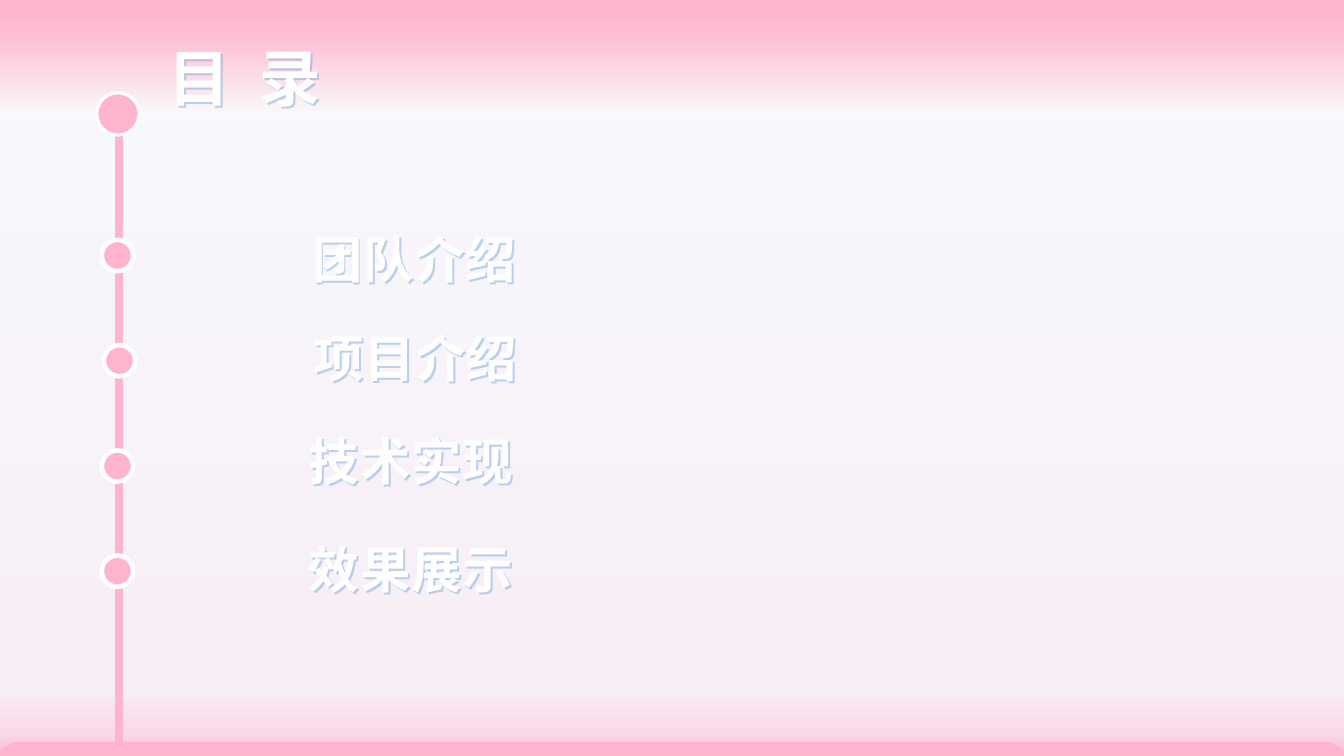
import pptx
import pptx.dml.color
import pptx.enum.shapes
import pptx.enum.text
import pptx.oxml
import pptx.oxml.ns
import pptx.util

Inches = pptx.util.Inches
Pt = pptx.util.Pt
ShapeType = pptx.enum.shapes.MSO_SHAPE

FONT = "Noto Sans CJK SC"
DRAWING = pptx.oxml.ns.nsdecls("a")
COLORS = {
    "pink": "FEB3CE",
    "white": "FFFFFF",
    "text": "FEFEFE",
    "blue": "5B9BD5",
}
BACKGROUND_STOPS = [(0, "F7FAFD"), (92, "F8EEF5"), (93, "F9E6F0"),
                    (97, "FADAE8"), (100, "FEB3CE")]
HEADER_STOPS = [(0, "FAFAFA"), (70, "FDBED5"), (100, "FEB3CE")]
# Left and top of each agenda entry
ENTRIES = [("团队介绍", 2.98, 2.21), ("项目介绍", 2.99, 3.2),
           ("技术实现", 2.95, 4.22), ("效果展示", 2.95, 5.29)]
DOT_LEFTS = [1.01, 1.03, 1.01, 1.01]
DOT_TOP, DOT_STEP, DOT_SIZE = 2.38, 1.044, 0.31


def rgb(name):
    return pptx.dml.color.RGBColor.from_string(COLORS[name])


def set_gradient(fill, element, stops, angle):
    fill.gradient()
    gradient = element.xpath(".//a:gradFill")[0]
    stop_list = gradient.find(pptx.oxml.ns.qn("a:gsLst"))
    for stop in list(stop_list):
        stop_list.remove(stop)
    for position, color in stops:
        stop_list.append(pptx.oxml.parse_xml(
            f'<a:gs {DRAWING} pos="{position * 1000}">'
            f'<a:srgbClr val="{color}"/></a:gs>'))
    gradient.find(pptx.oxml.ns.qn("a:lin")).set("ang", str(angle * 60000))


def add_shape(slide, kind, left, top, width, height, line_width=None):
    shape = slide.shapes.add_shape(kind, Inches(left), Inches(top),
                                   Inches(width), Inches(height))
    shape.shadow.inherit = False
    shape.fill.solid()
    shape.fill.fore_color.rgb = rgb("pink")
    if line_width:
        shape.line.color.rgb = rgb("white")
        shape.line.width = Pt(line_width)
    else:
        shape.line.fill.background()
    return shape


def add_bar(slide, top, height, rounding):
    bar = add_shape(slide, ShapeType.ROUNDED_RECTANGLE, 0, top, 13.33, height)
    bar.adjustments[0] = rounding
    return bar


def add_timeline(slide):
    line = slide.shapes.add_connector(
        pptx.enum.shapes.MSO_CONNECTOR.STRAIGHT,
        Inches(1.18), Inches(0.42), Inches(1.18), Inches(7.5))
    line.line.color.rgb = rgb("pink")
    line.line.width = Pt(6.25)
    line._element.spPr.append(
        pptx.oxml.parse_xml(f"<a:effectLst {DRAWING}/>"))
    for index, left in enumerate(DOT_LEFTS):
        add_shape(slide, ShapeType.OVAL, left, DOT_TOP + index * DOT_STEP,
                  DOT_SIZE, DOT_SIZE, 3.25)


def add_outlined_text(slide, text, left, top, width, height, size,
                      spacing=0.5, wrap=False):
    box = slide.shapes.add_textbox(Inches(left), Inches(top),
                                   Inches(width), Inches(height))
    frame = box.text_frame
    frame.text = text
    frame.word_wrap = wrap
    frame.auto_size = pptx.enum.text.MSO_AUTO_SIZE.SHAPE_TO_FIT_TEXT
    paragraph = frame.paragraphs[0]
    paragraph.alignment = pptx.enum.text.PP_ALIGN.CENTER
    run = paragraph.runs[0]
    run.font.size = Pt(size)
    run.font.bold = True
    run.font.name = FONT
    run.font.color.rgb = rgb("text")
    # Letter spacing, outline and East Asian font
    properties = run._r.get_or_add_rPr()
    properties.set("spc", str(round(spacing * 100)))
    properties.insert(0, pptx.oxml.parse_xml(
        f'<a:ln {DRAWING} w="9525"><a:solidFill>'
        f'<a:srgbClr val="{COLORS["blue"]}"/></a:solidFill></a:ln>'))
    properties.append(pptx.oxml.parse_xml(
        f'<a:ea {DRAWING} typeface="{FONT}"/>'))
    # Soft blue shadow that the unfilled box casts from its letters
    box._element.spPr.append(pptx.oxml.parse_xml(
        f'<a:effectLst {DRAWING}><a:outerShdw dist="25400" dir="2700000" '
        f'algn="tl" rotWithShape="0"><a:srgbClr val="{COLORS["blue"]}">'
        f'<a:alpha val="40000"/></a:srgbClr></a:outerShdw></a:effectLst>'))


def main():
    presentation = pptx.Presentation()
    presentation.slide_width = Inches(13.33)
    presentation.slide_height = Inches(7.5)
    slide = presentation.slides.add_slide(presentation.slide_layouts[6])
    set_gradient(slide.background.fill, slide.element, BACKGROUND_STOPS, 90)

    # Timeline behind the header bar
    add_timeline(slide)

    # Header with title and large dot
    header = add_bar(slide, 0, 1.16, 0)
    set_gradient(header.fill, header.element, HEADER_STOPS, 270)
    add_outlined_text(slide, "目 录", 1.18, 0.35, 2.5, 0.84, 44,
                      spacing=5.7, wrap=True)
    add_shape(slide, ShapeType.OVAL, 0.96, 0.92, 0.42, 0.42, 2.25)

    # Agenda entries
    for text, left, top in ENTRIES:
        add_outlined_text(slide, text, left, top, 2.25, 0.71, 36)

    # Footer bar
    add_bar(slide, 7.36, 0.36, 0.5)
    presentation.save("out.pptx")


if __name__ == "__main__":
    main()
